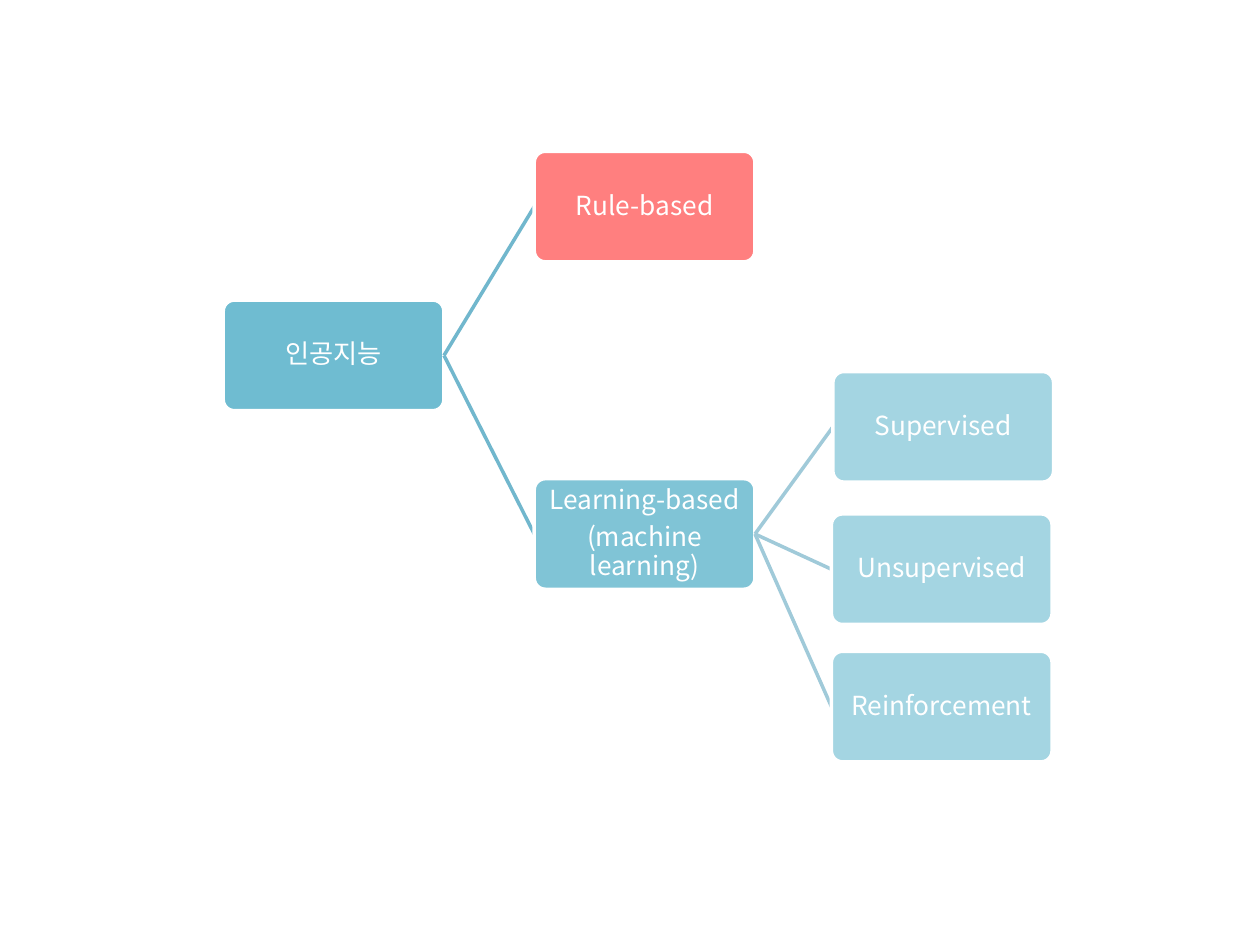
"""Build a slide with a tree of artificial intelligence approaches."""
from lxml.etree import SubElement
from pptx import Presentation
from pptx.dml.color import RGBColor
from pptx.enum.shapes import MSO_CONNECTOR as Connector, MSO_SHAPE as Shape
from pptx.enum.text import MSO_ANCHOR as Anchor, PP_ALIGN as Align
from pptx.oxml.ns import qn
from pptx.util import Cm, Pt

COLORS = {
    "teal": "4BACC6",
    "red": "FF0000",
    "white": "FFFFFF",
    "branch": "71B7CD",
    "twig": "A0CAD9",
}
FONT = "Noto Sans CJK KR"
BOX_WIDTH, BOX_HEIGHT = 4.45, 2.23
RIGHT_SITE, LEFT_SITE = 3, 1

ROOT, RULES, LEARNING = "인공지능", "Rule-based", "Learning-based\n(machine learning)"
NODES = [
    (ROOT, None, 4.5, 6.05, "teal", 80),
    (RULES, ROOT, 10.77, 3.05, "red", 50),
    (LEARNING, ROOT, 10.77, 9.65, "teal", 70),
    ("Supervised", LEARNING, 16.79, 7.49, "teal", 50),
    ("Unsupervised", LEARNING, 16.76, 10.36, "teal", 50),
    ("Reinforcement", LEARNING, 16.76, 13.13, "teal", 50),
]
LINK_COLORS = {ROOT: "branch", LEARNING: "twig"}


def rgb(name):
    return RGBColor.from_string(COLORS[name])


def write_text(shape, text, size=15, color="white", align=Align.CENTER):
    frame = shape.text_frame
    frame.word_wrap = True
    frame.vertical_anchor = Anchor.MIDDLE
    frame.margin_left = frame.margin_right = Cm(0.03)
    frame.margin_top = frame.margin_bottom = Cm(0.03)
    frame.text = text
    for paragraph in frame.paragraphs:
        paragraph.alignment = align
        paragraph.line_spacing = 0.9
        paragraph.space_after = Pt(5)
        for run in paragraph.runs:
            run.font.name = FONT
            run.font.size = Pt(size)
            run.font.color.rgb = rgb(color)
            SubElement(run.font._element, qn("a:ea"), typeface=FONT)


def add_box(slide, text, left, top, fill, opacity):
    shape = slide.shapes.add_shape(
        Shape.ROUNDED_RECTANGLE, Cm(left), Cm(top), Cm(BOX_WIDTH), Cm(BOX_HEIGHT))
    shape.adjustments[0] = 0.1
    shape.shadow.inherit = False
    shape.fill.solid()
    shape.fill.fore_color.rgb = rgb(fill)
    color = shape._element.spPr.find(qn("a:solidFill")).find(qn("a:srgbClr"))
    SubElement(color, qn("a:alpha"), val=str(opacity * 1000))
    shape.line.color.rgb = rgb("white")
    shape.line.width = Pt(2)
    write_text(shape, text)
    return shape


def add_link(slide, color):
    link = slide.shapes.add_connector(Connector.STRAIGHT, 0, 0, 0, 0)
    link.line.color.rgb = rgb(color)
    link.line.width = Pt(2)
    SubElement(link._element.spPr, qn("a:effectLst"))
    return link


def main():
    presentation = Presentation()
    presentation.slide_width, presentation.slide_height = Cm(25.4), Cm(19.05)
    slide = presentation.slides.add_slide(presentation.slide_layouts[6])
    boxes = {}
    for text, parent, left, top, fill, opacity in NODES:
        link = add_link(slide, LINK_COLORS[parent]) if parent else None
        boxes[text] = add_box(slide, text, left, top, fill, opacity)
        if link:
            link.begin_connect(boxes[parent], RIGHT_SITE)
            link.end_connect(boxes[text], LEFT_SITE)
    presentation.save("out.pptx")


if __name__ == "__main__":
    main()
